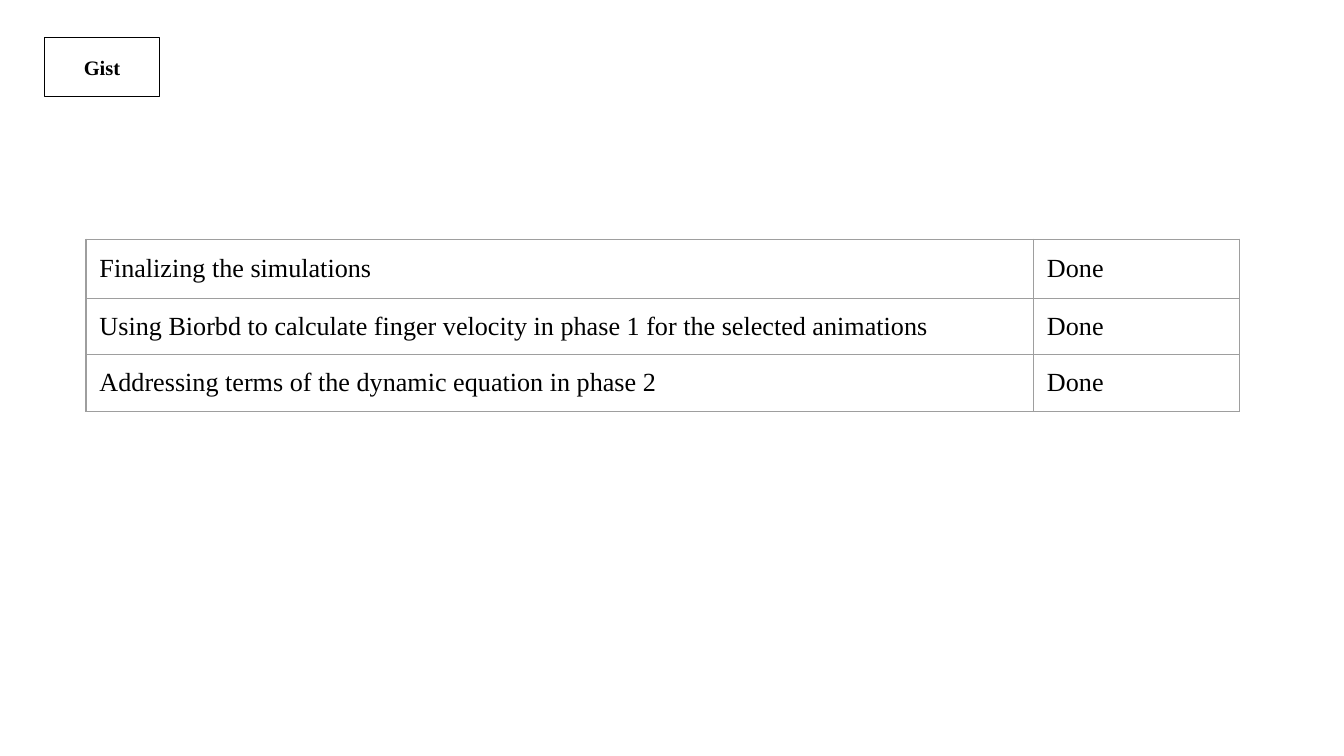
from dataclasses import dataclass

from lxml import etree
from pptx import Presentation
from pptx.dml.color import RGBColor
from pptx.enum.shapes import MSO_SHAPE
from pptx.enum.text import MSO_ANCHOR, PP_ALIGN
from pptx.oxml.ns import qn
from pptx.util import Inches, Pt

BLACK = RGBColor(0x00, 0x00, 0x00)
WHITE = RGBColor(0xFF, 0xFF, 0xFF)
GREY = RGBColor(0x9E, 0x9E, 0x9E)
RECTANGLE = MSO_SHAPE.RECTANGLE
MIDDLE = MSO_ANCHOR.MIDDLE
CENTER = PP_ALIGN.CENTER

# Widescreen page, 16 to 9
PAGE_WIDTH = Inches(10)
PAGE_HEIGHT = PAGE_WIDTH * 9 // 16

FONT_NAME = "Times New Roman"
LINE_WIDTH = Pt(0.75)
INSET = Inches(0.1)
COLUMN_WIDTHS = [Inches(7.05), Inches(1.53)]
ROW_HEIGHTS = [Inches(0.44), Inches(0.42), Inches(0.42)]


@dataclass
class Task:
    name: str
    status: str = "Done"


TASKS = [
    Task("Finalizing the simulations"),
    Task("Using Biorbd to calculate finger velocity in phase 1 for the selected animations"),
    Task("Addressing terms of the dynamic equation in phase 2"),
]


def format_text(frame, text: str, size: int, bold: bool = False) -> None:
    """Write one black paragraph in the slide's font."""
    para = frame.paragraphs[0]
    para.text = text
    font = para.font
    font.name, font.size, font.bold = FONT_NAME, Pt(size), bold
    font.color.rgb = BLACK


def set_insets(holder) -> None:
    """Give a cell or text frame equal margins on all sides."""
    holder.margin_left = holder.margin_right = INSET
    holder.margin_top = holder.margin_bottom = INSET


def add_borders(cell) -> None:
    """Draw a thin grey line on each side of a cell."""
    properties = cell._tc.get_or_add_tcPr()
    for index, side in enumerate(("lnL", "lnR", "lnT", "lnB")):
        line = etree.Element(qn(f"a:{side}"), w=str(int(LINE_WIDTH)))
        fill = etree.SubElement(line, qn("a:solidFill"))
        etree.SubElement(fill, qn("a:srgbClr"), val=str(GREY))
        properties.insert(index, line)


def add_label(slide, text: str) -> None:
    """Add the framed heading in the top left corner."""
    box = slide.shapes.add_shape(
        RECTANGLE, Inches(0.33), Inches(0.28), Inches(0.86), Inches(0.44))
    box.shadow.inherit = False
    box.fill.solid()
    box.fill.fore_color.rgb = WHITE
    box.line.color.rgb = BLACK
    box.line.width = LINE_WIDTH
    frame = box.text_frame
    frame.word_wrap = True
    frame.vertical_anchor = MIDDLE
    set_insets(frame)
    format_text(frame, text, 11, bold=True)
    frame.paragraphs[0].alignment = CENTER


def add_task_table(slide, tasks: list[Task]) -> None:
    """Add one row per task, with its status on the right."""
    table = slide.shapes.add_table(
        len(tasks), len(COLUMN_WIDTHS), Inches(0.64), Inches(1.78),
        sum(COLUMN_WIDTHS), sum(ROW_HEIGHTS)).table
    table.first_row = table.horz_banding = False
    for column, width in zip(table.columns, COLUMN_WIDTHS):
        column.width = width
    for row, height, task in zip(table.rows, ROW_HEIGHTS, tasks):
        row.height = height
        for cell, text in zip(row.cells, (task.name, task.status)):
            cell.fill.background()
            cell.vertical_anchor = MIDDLE
            set_insets(cell)
            add_borders(cell)
            format_text(cell.text_frame, text, 14)


def main() -> None:
    deck = Presentation()
    deck.slide_width, deck.slide_height = PAGE_WIDTH, PAGE_HEIGHT
    blank_layout = deck.slide_layouts[6]
    page = deck.slides.add_slide(blank_layout)
    add_task_table(page, TASKS)
    add_label(page, "Gist")
    deck.save("out.pptx")


if __name__ == "__main__":
    main()
